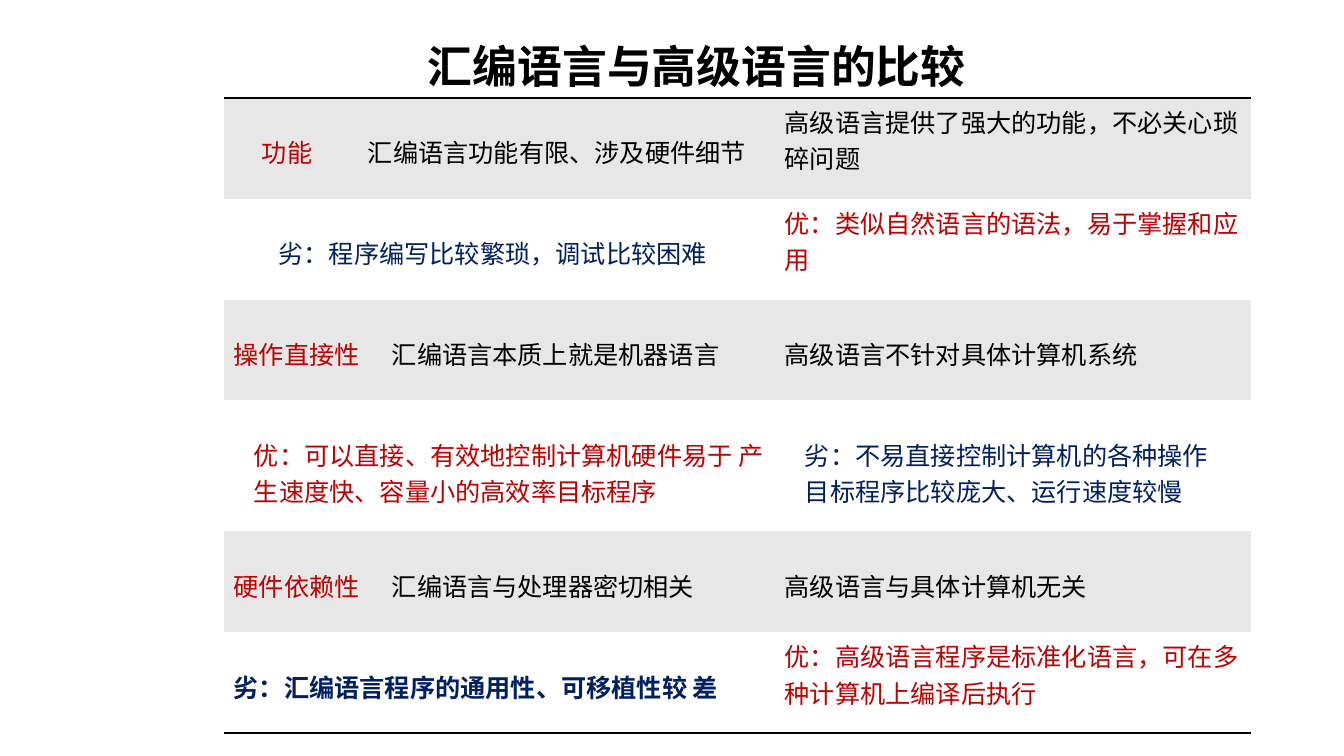
import pptx
import pptx.dml.color
import pptx.enum.text
import pptx.oxml
import pptx.oxml.ns
import pptx.util

Cm = pptx.util.Cm
Pt = pptx.util.Pt

COLORS = {
    "black": "000000",
    "red": "C00000",
    "navy": "002060",
    "grey": "E7E7E7",
    "white": "FFFFFF",
}
FONT = "Calibri"
PLAIN_STYLE = "{2D5ABB26-0587-4C30-8999-92F81FD0307C}"
COLUMN_WIDTHS = (3.38, 0.38, 9.9, 12.01)
ROW_HEIGHTS = (2.54, 2.54, 2.54, 3.3, 2.54, 2.54)
SIDE_MARGIN = 0.25
HIGH, LOW = 0.13, 0.9

# Each entry: first column, last column, text, colour, top margin, indent, bold
ROWS = (
    ((0, 0, "功能", "red", LOW, 0.71, False),
     (1, 2, "汇编语言功能有限、涉及硬件细节", "black", LOW, 0, False),
     (3, 3, "高级语言提供了强大的功能，不必关心琐碎问题", "black", HIGH, 0, False)),
    ((0, 2, "劣：程序编写比较繁琐，调试比较困难", "navy", LOW, 1.13, False),
     (3, 3, "优：类似自然语言的语法，易于掌握和应用", "red", HIGH, 0, False)),
    ((0, 1, "操作直接性", "red", LOW, 0, False),
     (2, 2, "汇编语言本质上就是机器语言", "black", LOW, 0, False),
     (3, 3, "高级语言不针对具体计算机系统", "black", LOW, 0, False)),
    ((0, 2, "优：可以直接、有效地控制计算机硬件易于 产生速度快、容量小的高效率目标程序",
      "red", LOW, 0.51, False),
     (3, 3, "劣：不易直接控制计算机的各种操作\n目标程序比较庞大、运行速度较慢",
      "navy", LOW, 0.51, False)),
    ((0, 1, "硬件依赖性", "red", LOW, 0, False),
     (2, 2, "汇编语言与处理器密切相关", "black", LOW, 0, False),
     (3, 3, "高级语言与具体计算机无关", "black", LOW, 0, False)),
    ((0, 2, "劣：汇编语言程序的通用性、可移植性较 差", "navy", LOW, 0, True),
     (3, 3, "优：高级语言程序是标准化语言，可在多种计算机上编译后执行", "red", HIGH, 0, False)),
)


def rgb(name):
    return pptx.dml.color.RGBColor.from_string(COLORS[name])


def write(frame, text, size, color, bold):
    frame.text = text
    for para in frame.paragraphs:
        for span in para.runs:
            span.font.name = FONT
            span.font.size = Pt(size)
            span.font.bold = bold
            span.font.color.rgb = rgb(color)


def add_rule(cell, side):
    line = pptx.oxml.parse_xml(
        f'<a:{side} {pptx.oxml.ns.nsdecls("a")} w="{Pt(2)}"><a:solidFill>'
        f'<a:srgbClr val="{COLORS["black"]}"/></a:solidFill></a:{side}>')
    cell._tc.get_or_add_tcPr().insert(0, line)


def add_title(page, left, top, width, height):
    box = page.shapes.add_textbox(Cm(left), Cm(top), Cm(width), Cm(height))
    frame = box.text_frame
    frame.word_wrap = True
    frame.vertical_anchor = pptx.enum.text.MSO_ANCHOR.MIDDLE
    write(frame, "汇编语言与高级语言的比较", 32, "black", True)
    frame.paragraphs[0].alignment = pptx.enum.text.PP_ALIGN.CENTER


def add_comparison(page, left, top):
    frame = page.shapes.add_table(
        len(ROWS), len(COLUMN_WIDTHS), Cm(left), Cm(top),
        Cm(sum(COLUMN_WIDTHS)), Cm(sum(ROW_HEIGHTS)))
    table = frame.table
    table.first_row = False
    table.horz_banding = False
    table._tbl.tblPr.find(pptx.oxml.ns.qn("a:tableStyleId")).text = PLAIN_STYLE
    for column, width in zip(table.columns, COLUMN_WIDTHS):
        column.width = Cm(width)
    for index, entries in enumerate(ROWS):
        row = table.rows[index]
        row.height = Cm(ROW_HEIGHTS[index])
        for cell in row.cells:
            cell.fill.solid()
            cell.fill.fore_color.rgb = rgb("white" if index % 2 else "grey")
            if index == 0:
                add_rule(cell, "lnT")
            if index == len(ROWS) - 1:
                add_rule(cell, "lnB")
        for first, last, text, color, margin, indent, bold in entries:
            cell = table.cell(index, first)
            if last > first:
                cell.merge(table.cell(index, last))
            cell.margin_top = Cm(margin)
            cell.margin_left = Cm(SIDE_MARGIN + indent)
            write(cell.text_frame, text, 18, color, bold)


def main():
    deck = pptx.Presentation()
    deck.slide_width = Cm(33.87)
    deck.slide_height = Cm(19.05)
    page = deck.slides.add_slide(deck.slide_layouts[6])
    add_title(page, 9.93, 0.84, 15.27, 1.63)
    add_comparison(page, 5.64, 2.47)
    deck.save("out.pptx")


if __name__ == "__main__":
    main()
